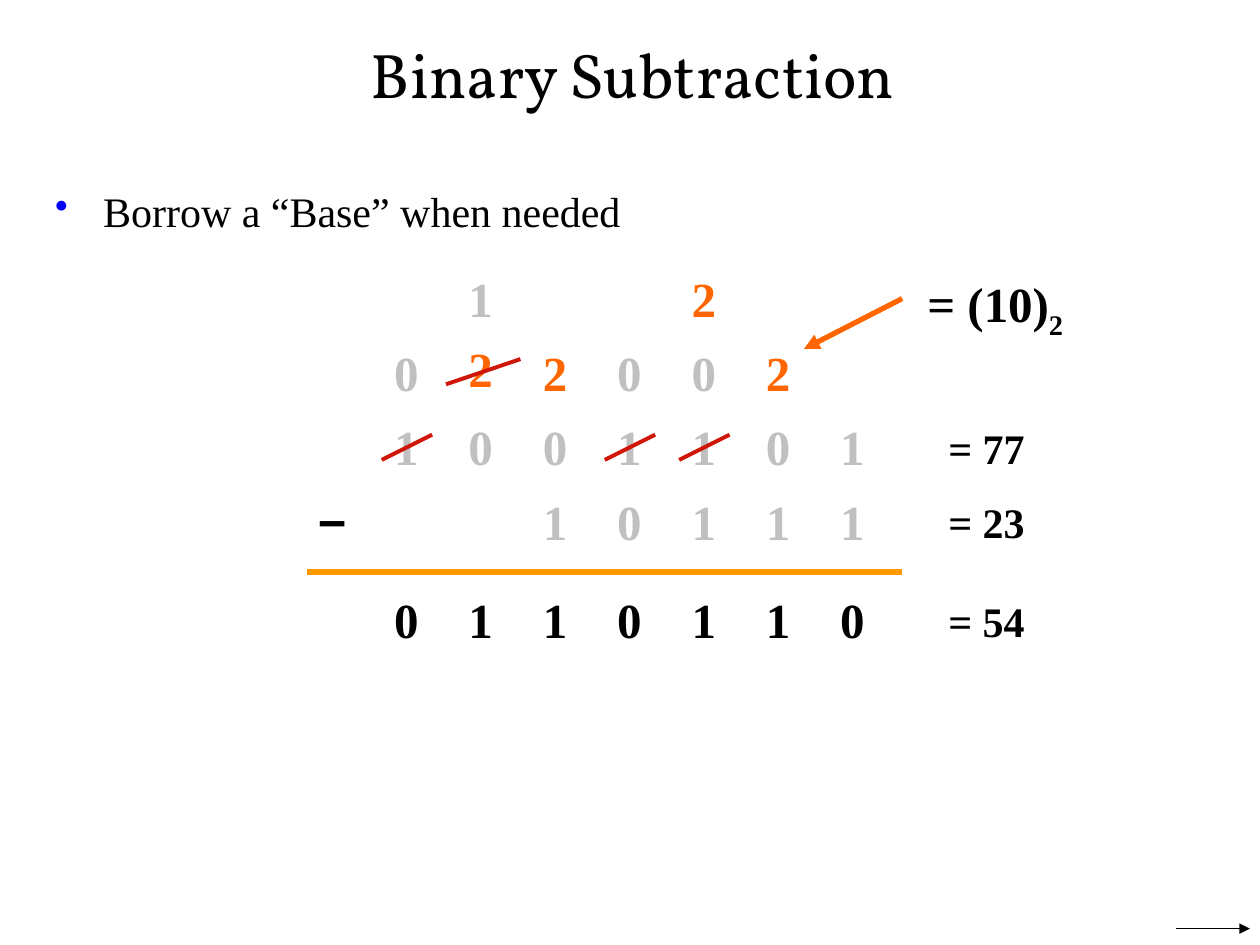
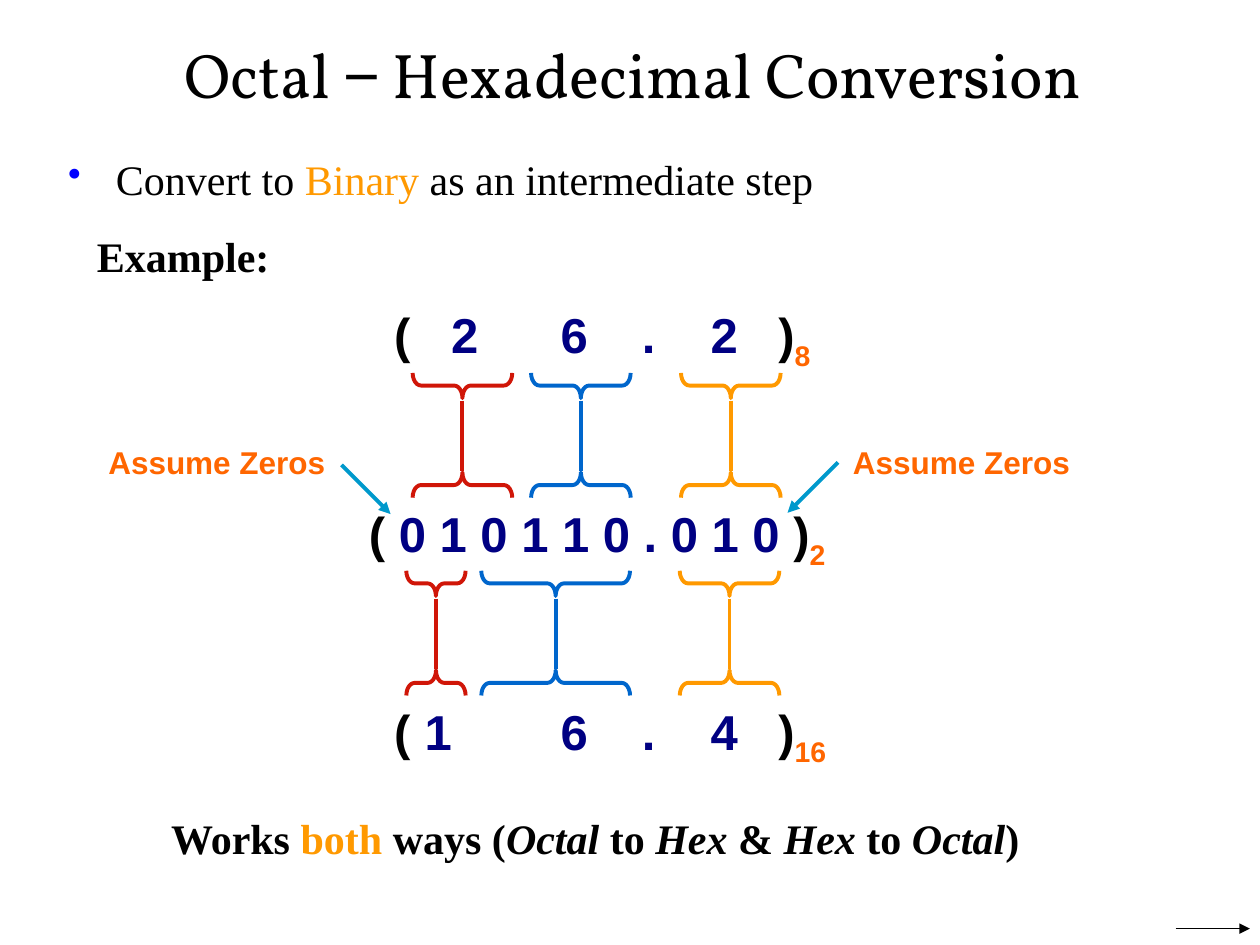
from pptx import Presentation
from pptx.dml.color import RGBColor
from pptx.enum import shapes, text
from pptx.oxml import ns
from pptx.util import Inches, Pt
from lxml import etree

BLACK, GREY, RED, ORANGE = "000000", "C0C0C0", "D01608", "FF6600"
GOLD, BLUE, NAVY, TEAL = "FF9900", "0066CC", "000082", "0099CC"
SERIF, SANS, HEAD = "Times New Roman", "Arial", "Vollkorn"
LEFT, MID = text.PP_ALIGN.LEFT, text.PP_ALIGN.CENTER
SUB, ITAL = {"base": "-25000"}, {"italic": True}
hue = RGBColor.from_string


def write(slide, box, runs, size, face=SERIF, bold=True, align=LEFT,
          pad=(0, 0), lead=None, tabs=(), bullet=False):
    """Add a text box; each run is (words, colour, optional font settings)."""
    shape = slide.shapes.add_textbox(*map(Inches, box))
    frame = shape.text_frame
    frame.word_wrap = True
    frame.margin_left = frame.margin_right = Inches(pad[0])
    frame.margin_top = frame.margin_bottom = Inches(pad[1])
    para = frame.paragraphs[0]
    para.alignment = align
    if lead:
        para.line_spacing = lead
    props = para._p.get_or_add_pPr()
    if bullet:
        props.set("marL", str(Inches(0.38)))
        props.set("indent", str(-Inches(0.38)))
        tint = etree.SubElement(props, ns.qn("a:buClr"))
        etree.SubElement(tint, ns.qn("a:srgbClr"), val="0000FF")
        etree.SubElement(props, ns.qn("a:buSzPct"), val="90000")
        etree.SubElement(props, ns.qn("a:buChar"), char="•")
    if tabs:
        stops = etree.SubElement(props, ns.qn("a:tabLst"))
        for pos, kind in tabs:
            etree.SubElement(stops, ns.qn("a:tab"), pos=str(Inches(pos)), algn=kind)
    for words, tone, *extra in runs:
        run = para.add_run()
        run.text = words
        font = run.font
        font.name, font.size, font.bold = face, Pt(size), bold
        font.color.rgb = hue(tone)
        for key, val in (extra[0] if extra else {}).items():
            if key == "base":
                run._r.get_or_add_rPr().set("baseline", val)
            else:
                setattr(font, key, val)
    return frame


def draw(slide, ends, tone, width, arrow=False):
    """Add a straight line between two points, with an arrowhead if asked."""
    line = slide.shapes.add_connector(shapes.MSO_CONNECTOR.STRAIGHT, *map(Inches, ends))
    line.line.color.rgb = hue(tone)
    line.line.width = Pt(width)
    if arrow:
        etree.SubElement(line.line._get_or_add_ln(), ns.qn("a:tailEnd"), type="triangle")
    etree.SubElement(line._element.spPr, ns.qn("a:effectLst"))


deck = Presentation()
deck.slide_width, deck.slide_height = Inches(10), Inches(7.5)

# Shared title and corner arrow
titles = [
    [("Binary Subtraction", BLACK)],
    [("Octal ", BLACK), ("−", BLACK, {"name": SANS}),
     (" Hexadecimal Conversion", BLACK)],
]
pages = []
for title in titles:
    page = deck.slides.add_slide(deck.slide_layouts[6])
    frame = write(page, (0.33, 0.25, 9.38, 0.67), title, 36, HEAD, False, MID)
    frame.vertical_anchor = text.MSO_ANCHOR.MIDDLE
    draw(page, (9.33, 7.37, 9.92, 7.37), BLACK, 0.75, True)
    pages.append(page)
minus, octal = pages

# Binary subtraction
write(minus, (0.34, 1.42, 9.37, 0.87), [("Borrow a “Base” when needed", BLACK)],
      24, bold=False, pad=(0.1, 0.05), bullet=True)

COL, STEP, CELL = 3.03, 0.59, (0.39, 0.42)
rows = [
    (2.18, " 1  2  ", GREY, ""),
    (2.77, "0 2002 ", GREY, ""),
    (3.36, "1001101", GREY, "= 77"),
    (3.95, "  10111", GREY, "= 23"),
    (4.73, "0110110", BLACK, "= 54"),
]
for top, digits, tone, total in rows:
    for col, digit in enumerate(digits):
        if digit != " ":
            write(minus, (COL + col * STEP, top, *CELL),
                  [(digit, ORANGE if digit == "2" else tone)], 28, align=MID, lead=0.9)
    if total:
        write(minus, (7.36, top, 0.94, 0.45), [(total, BLACK)], 24,
              align=MID, pad=(0.1, 0.05), lead=0.87)
write(minus, (COL + STEP, 2.74, *CELL), [("2", ORANGE)], 28, align=MID, lead=0.9)
write(minus, (COL - STEP, 3.95, *CELL), [("−", BLACK)], 28, SANS, align=MID, lead=0.9)
write(minus, (7.36, 2.18, 1.38, 0.42), [("= (10)", BLACK), ("2", BLACK, SUB)],
      28, lead=0.9)

for col in (0, 3, 4):
    left = COL + col * STEP
    draw(minus, (left, 3.65, left + 0.4, 3.45), RED, 2.25)
draw(minus, (3.54, 3.05, 4.13, 2.85), RED, 2.25)
draw(minus, (7.16, 4.54, 2.44, 4.54), GOLD, 3)
draw(minus, (7.16, 2.37, 6.38, 2.77), ORANGE, 3, True)

# Octal to hexadecimal
write(octal, (0.47, 1.19, 9.25, 0.52),
      [("Convert to ", BLACK), ("Binary", GOLD), (" as an intermediate step", BLACK)],
      24, bold=False, pad=(0.07, 0.03), bullet=True)
write(octal, (0.67, 1.78, 1.57, 0.5), [("Example:", BLACK)], 24, pad=(0.1, 0.05))

stops = [(1.43, "ctr"), (2.02, "ctr"), (2.62, "ctr"), (3.05, "l")]
numbers = [
    (3.03, 2.37, "(\t", "2\t6\t.\t2\t", "8", [(0.56, "ctr")] + stops),
    (2.83, 3.95, "( ", "0 1 0 1 1 0 . 0 1 0 ", "2", []),
    (3.03, 5.52, "(\t", "1\t6\t.\t4\t", "16", [(0.35, "ctr")] + stops),
]
for left, top, start, digits, base, tabs in numbers:
    write(octal, (left, top, 3.85, 0.57),
          [(start, BLACK), (digits, NAVY), (")", BLACK), (base, ORANGE, SUB)],
          28, SANS, pad=(0.1, 0.05), tabs=tabs)

# Each link is a brace, a stem and a facing brace
links = [
    (3.67, 2.96, 0.79, RED), (4.61, 2.96, 0.79, BLUE), (5.8, 2.96, 0.79, GOLD),
    (3.46, 4.53, 0.47, RED), (4.41, 4.53, 1.18, BLUE), (5.79, 4.53, 0.79, GOLD),
]
for mid, top, span, tone in links:
    for drop, turn in ((0.1, 270), (0.89, 90)):
        brace = octal.shapes.add_shape(
            shapes.MSO_SHAPE.LEFT_BRACE, Inches(mid - 0.1),
            Inches(top + drop - span / 2), Inches(0.2), Inches(span))
        brace.rotation = turn
        brace.adjustments[0] = 0.33
        brace.shadow.inherit = False
        brace.fill.background()
        brace.line.color.rgb = hue(tone)
        brace.line.width = Pt(2.25)
    draw(octal, (mid, top + 0.22, mid, top + 0.78), tone, 2.25)

for left, ends in ((0.86, (2.71, 3.69, 3.1, 4.08)), (6.77, (6.65, 3.67, 6.25, 4.07))):
    write(octal, (left, 3.55, 1.97, 0.27), [("Assume Zeros", ORANGE)], 18, SANS, lead=0.9)
    draw(octal, ends, TEAL, 2.25, True)

write(octal, (1.26, 6.4, 7.88, 0.5), [
    ("Works ", BLACK), ("both", GOLD), (" ways (", BLACK), ("Octal", BLACK, ITAL),
    (" to ", BLACK), ("Hex", BLACK, ITAL), (" & ", BLACK), ("Hex ", BLACK, ITAL),
    ("to ", BLACK), ("Octal", BLACK, ITAL), (")", BLACK),
], 24, pad=(0.1, 0.05))

deck.save("out.pptx")
